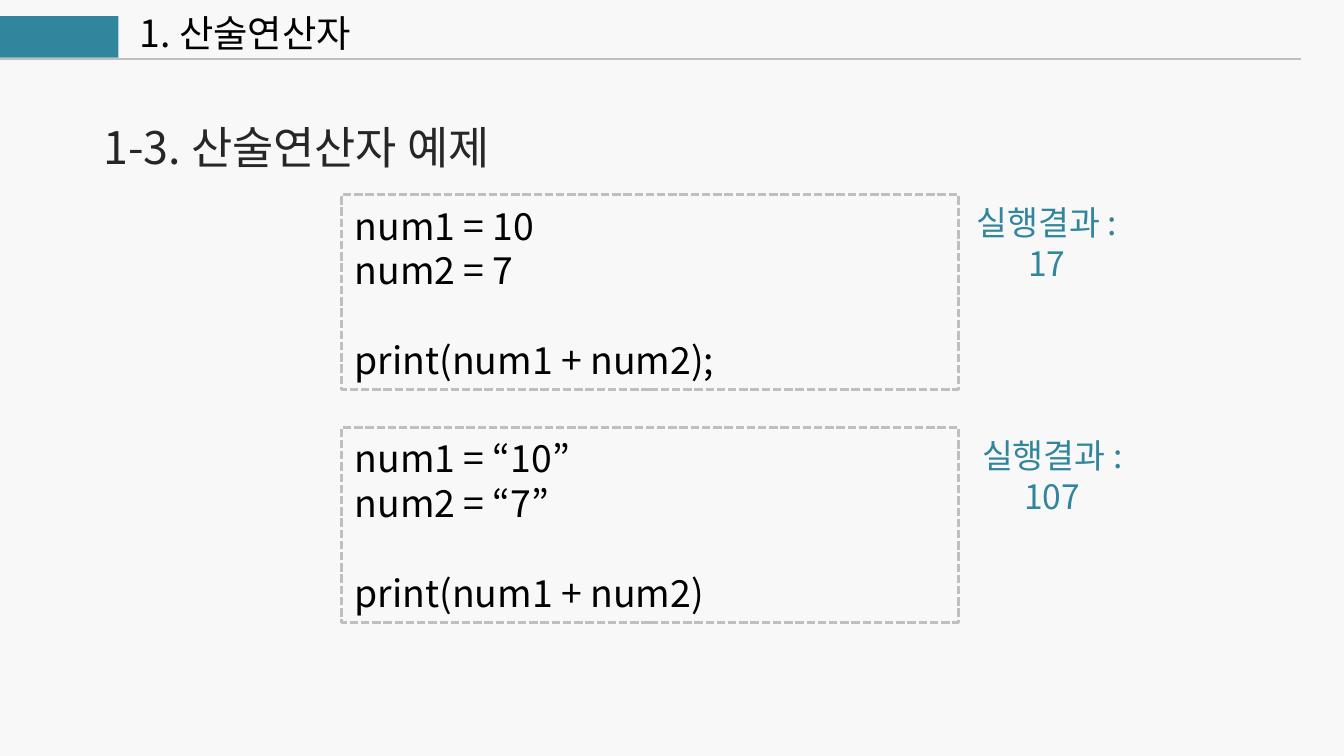
from dataclasses import dataclass

from lxml import etree
from pptx import Presentation
from pptx.dml.color import RGBColor
from pptx.enum.dml import MSO_LINE
from pptx.enum.shapes import MSO_CONNECTOR, MSO_SHAPE
from pptx.enum.text import MSO_ANCHOR, PP_ALIGN
from pptx.oxml.ns import qn
from pptx.util import Inches, Pt

RECTANGLE = MSO_SHAPE.RECTANGLE
STRAIGHT = MSO_CONNECTOR.STRAIGHT
SHORT_DASH = MSO_LINE.SQUARE_DOT
LEFT, CENTER = PP_ALIGN.LEFT, PP_ALIGN.CENTER
TOP, MIDDLE = MSO_ANCHOR.TOP, MSO_ANCHOR.MIDDLE


@dataclass(frozen=True)
class TextStyle:
    size: int
    leading: int
    color: RGBColor


class Theme:
    font = "Noto Sans CJK KR"
    paper = RGBColor.from_string("F8F8F8")
    accent = RGBColor.from_string("31859C")
    rule = RGBColor.from_string("BFBFBF")
    black = RGBColor.from_string("000000")
    header = TextStyle(20, 24, black)
    heading = TextStyle(24, 29, RGBColor.from_string("262626"))
    code = TextStyle(20, 24, black)
    result = TextStyle(18, 22, accent)


def write_lines(frame, lines, style, align=LEFT, anchor=TOP, wrap=True):
    frame.word_wrap = wrap
    frame.vertical_anchor = anchor
    for index, line in enumerate(lines):
        para = frame.add_paragraph() if index else frame.paragraphs[0]
        para.text = line
        para.alignment = align
        para.line_spacing = Pt(style.leading)
        para.font.size = Pt(style.size)
        para.font.color.rgb = style.color
        para.font.name = Theme.font
        defaults = para._p.find(".//" + qn("a:defRPr"))
        etree.SubElement(defaults, qn("a:ea"), typeface=Theme.font)


def add_text(page, left, top, width, height, lines, style, **layout):
    box = page.shapes.add_textbox(
        Inches(left), Inches(top), Inches(width), Inches(height))
    write_lines(box.text_frame, lines, style, **layout)


def add_rectangle(page, left, top, width, height):
    shape = page.shapes.add_shape(
        RECTANGLE, Inches(left), Inches(top), Inches(width), Inches(height))
    shape.shadow.inherit = False
    return shape


def add_header(page, left, top, width, title):
    """Accent tab and title standing on a thin rule."""
    tab = add_rectangle(page, left, top + 0.09, 0.89, 0.31)
    tab.fill.solid()
    tab.fill.fore_color.rgb = Theme.accent
    tab.line.fill.background()
    add_text(page, left + 0.95, top, 2.17, 0.44, [title], Theme.header)
    rule_top = Inches(top + 0.41)
    rule = page.shapes.add_connector(
        STRAIGHT, Inches(left), rule_top, Inches(left + width), rule_top)
    rule.line.color.rgb = Theme.rule
    rule.line.width = Pt(1)
    etree.SubElement(rule._element.spPr, qn("a:effectLst"))


def add_example(page, left, top, width, height, code, result, gap):
    """Dashed code box with its result to the right."""
    panel = add_rectangle(page, left, top, width, height)
    panel.fill.background()
    panel.line.color.rgb = Theme.rule
    panel.line.width = Pt(1.5)
    panel.line.dash_style = SHORT_DASH
    write_lines(panel.text_frame, code, Theme.code, anchor=MIDDLE)
    add_text(page, left + width + gap, top, 1.26, 0.71,
             ["실행결과 :", result], Theme.result, align=CENTER, wrap=False)


def main():
    deck = Presentation()
    deck.slide_width = Inches(10)
    deck.slide_height = deck.slide_width * 9 // 16
    page = deck.slides.add_slide(deck.slide_layouts[6])
    page.background.fill.solid()
    page.background.fill.fore_color.rgb = Theme.paper

    add_header(page, -0.01, 0.03, 9.69, "1. 산술연산자")
    add_text(page, 0.67, 0.84, 3.39, 0.5, ["1-3. 산술연산자 예제"], Theme.heading)

    examples = [
        (["num1 = 10", "num2 = 7", "", "print(num1 + num2);"], "17", 0.03),
        (["num1 = “10”", "num2 = “7”", "", "print(num1 + num2)"], "107", 0.07),
    ]
    for index, (code, result, gap) in enumerate(examples):
        add_example(page, 2.54, 1.45 + index * 1.73, 4.59, 1.45,
                    code, result, gap)

    deck.save("out.pptx")


if __name__ == "__main__":
    main()
